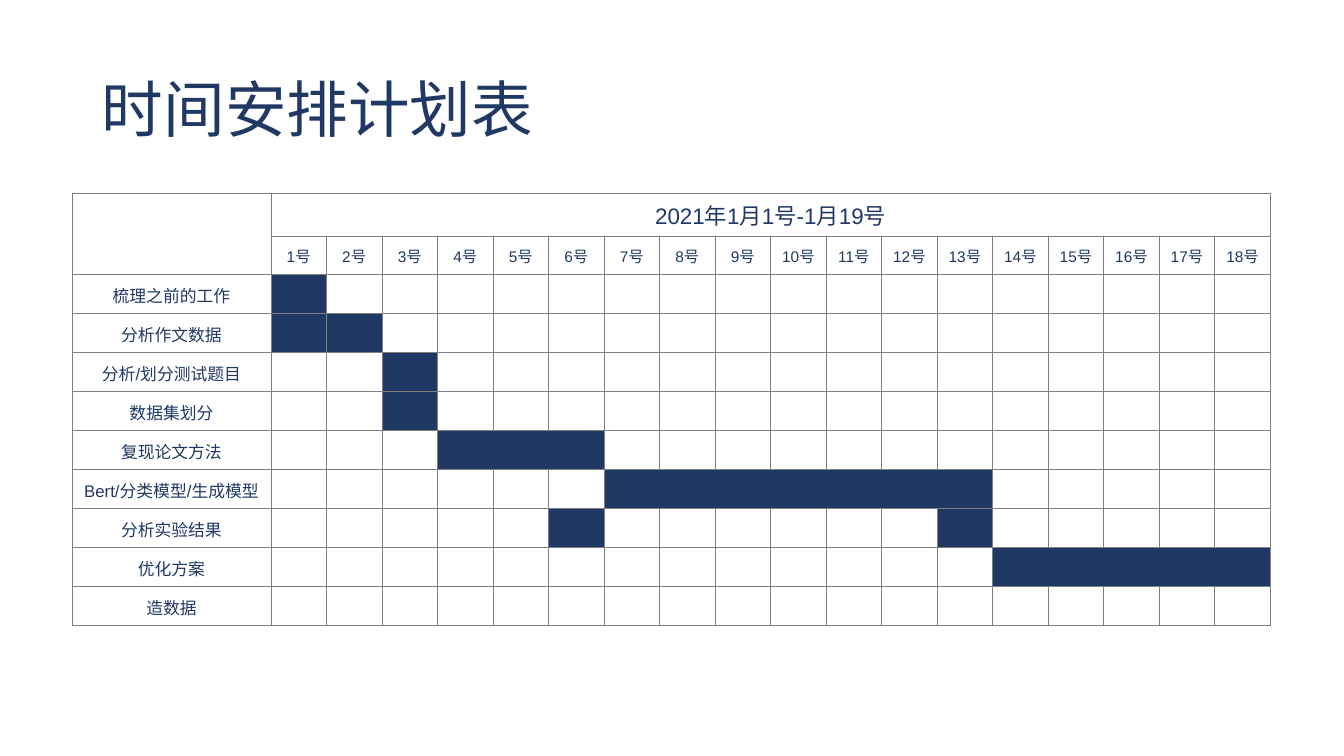
import pptx
import pptx.dml.color
import pptx.enum.text
import pptx.oxml
import pptx.oxml.ns
import pptx.util

TITLE = "时间安排计划表"
PERIOD = "2021年1月1号-1月19号"
DAY_COUNT = 18
# Each task with its bars as (first day, last day)
TASKS = [
    ("梳理之前的工作", [(1, 1)]),
    ("分析作文数据", [(1, 1), (2, 2)]),
    ("分析/划分测试题目", [(3, 3)]),
    ("数据集划分", [(3, 3)]),
    ("复现论文方法", [(4, 6)]),
    ("Bert/分类模型/生成模型", [(7, 13)]),
    ("分析实验结果", [(6, 6), (13, 13)]),
    ("优化方案", [(14, 18)]),
    ("造数据", []),
]

NAVY = pptx.dml.color.RGBColor(0x20, 0x38, 0x64)
WHITE = pptx.dml.color.RGBColor(0xFF, 0xFF, 0xFF)
GRAY = pptx.dml.color.RGBColor(0x80, 0x80, 0x80)

EMU_PER_PX = 12192000 / 1344
SLIDE_SIZE = (1344, 756)
TITLE_BOX = (92, 40, 1159, 146)
TABLE_LEFT, TABLE_TOP = 72, 193
TASK_WIDTH, DAYS_WIDTH = 199, 1000
PERIOD_HEIGHT, ROW_HEIGHT = 43, 39
CELL_MARGIN = 1
HEADER_ROWS = 2


def px(length):
    return pptx.util.Emu(round(length * EMU_PER_PX))


def set_attributes(target, values):
    for name, value in values.items():
        setattr(target, name, value)


def write(paragraph, text, size, font_name):
    run = paragraph.add_run()
    run.text = text
    set_attributes(run.font, {"size": pptx.util.Pt(size), "name": font_name, "bold": False})
    run.font.color.rgb = NAVY


def fill_cell(cell, color):
    cell.fill.solid()
    cell.fill.fore_color.rgb = color


def label_cell(cell, text, size):
    paragraph = cell.text_frame.paragraphs[0]
    paragraph.alignment = pptx.enum.text.PP_ALIGN.CENTER
    write(paragraph, text, size, "Arial")


def add_borders(cell):
    properties = cell._tc.get_or_add_tcPr()
    for index, side in enumerate(("lnL", "lnR", "lnT", "lnB")):
        properties.insert(index, pptx.oxml.parse_xml(
            f'<a:{side} {pptx.oxml.ns.nsdecls("a")} w="{pptx.util.Pt(0.75)}">'
            f'<a:solidFill><a:srgbClr val="{GRAY}"/></a:solidFill></a:{side}>'))


def add_title(slide):
    frame = slide.shapes.add_textbox(*map(px, TITLE_BOX)).text_frame
    set_attributes(frame, {"word_wrap": True,
                           "vertical_anchor": pptx.enum.text.MSO_ANCHOR.MIDDLE})
    paragraph = frame.paragraphs[0]
    paragraph.line_spacing = 0.9
    write(paragraph, TITLE, 44, "Times New Roman")


def add_schedule(slide):
    row_count = HEADER_ROWS + len(TASKS)
    height = PERIOD_HEIGHT + ROW_HEIGHT * (row_count - 1)
    table = slide.shapes.add_table(
        row_count, DAY_COUNT + 1, px(TABLE_LEFT), px(TABLE_TOP),
        px(TASK_WIDTH + DAYS_WIDTH), px(height)).table
    set_attributes(table, {"first_row": False, "horz_banding": False})
    for index, column in enumerate(table.columns):
        column.width = px(DAYS_WIDTH / DAY_COUNT if index else TASK_WIDTH)
    for index, row in enumerate(table.rows):
        row.height = px(ROW_HEIGHT if index else PERIOD_HEIGHT)

    cell_format = {f"margin_{side}": px(CELL_MARGIN) for side in ("left", "right", "top")}
    cell_format |= {"margin_bottom": 0,
                    "vertical_anchor": pptx.enum.text.MSO_ANCHOR.MIDDLE}
    for cell in table.iter_cells():
        set_attributes(cell, cell_format)
        fill_cell(cell, WHITE)
        add_borders(cell)

    table.cell(0, 0).merge(table.cell(1, 0))
    table.cell(0, 1).merge(table.cell(0, DAY_COUNT))
    label_cell(table.cell(0, 1), PERIOD, 16)
    for day in range(1, DAY_COUNT + 1):
        label_cell(table.cell(1, day), f"{day}号", 11)
    for row, (task, bars) in enumerate(TASKS, HEADER_ROWS):
        label_cell(table.cell(row, 0), task, 12)
        for first, last in bars:
            bar = table.cell(row, first)
            if last > first:
                bar.merge(table.cell(row, last))
            fill_cell(bar, NAVY)


def main():
    presentation = pptx.Presentation()
    presentation.slide_width, presentation.slide_height = map(px, SLIDE_SIZE)
    slide = presentation.slides.add_slide(presentation.slide_layouts[6])
    add_title(slide)
    add_schedule(slide)
    presentation.save("out.pptx")


if __name__ == "__main__":
    main()
